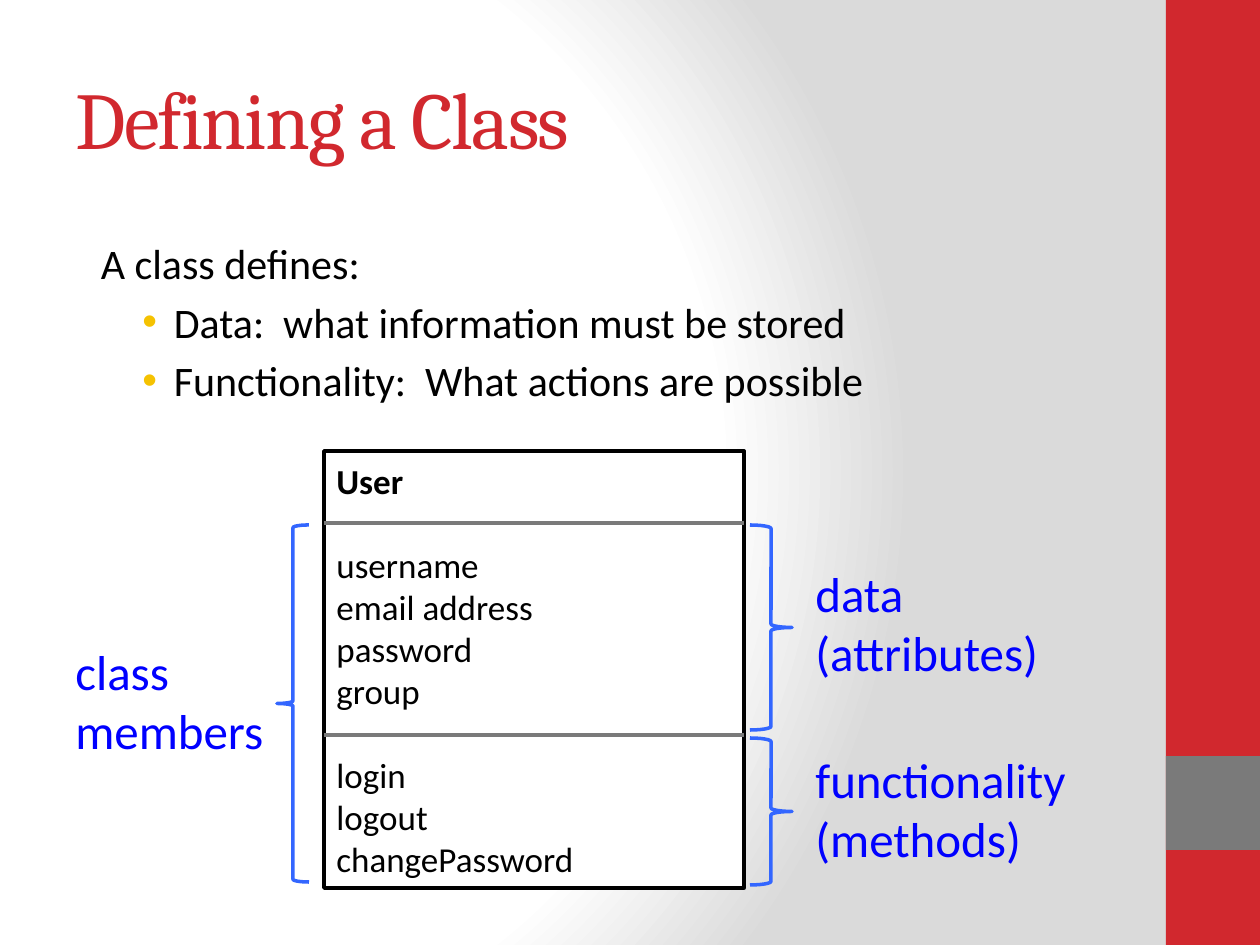
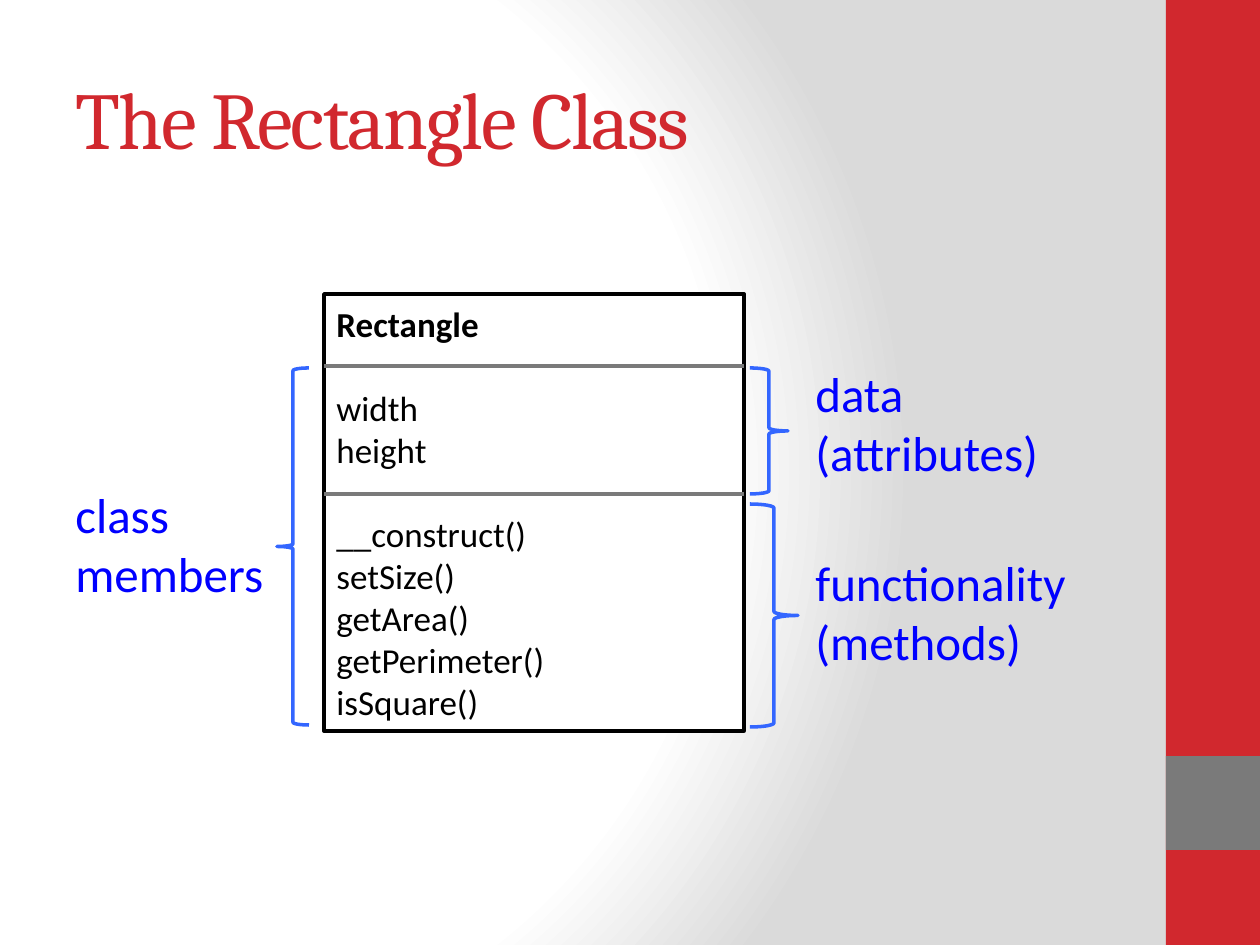
"""Builds two slides that explain the makeup of a class."""
from dataclasses import dataclass

from lxml import etree
from pptx import Presentation
from pptx import util as u
from pptx.dml.color import RGBColor
from pptx.enum import shapes, text
from pptx.oxml import parse_xml
from pptx.oxml.ns import qn

SCALE = 914400 / 126
RED = RGBColor(0xD1, 0x28, 0x2E)
GREY = RGBColor(0x7A, 0x7A, 0x7A)
GOLD = RGBColor(0xF5, 0xC2, 0x01)
BLUE = RGBColor(0x00, 0x00, 0xFF)
SKY = RGBColor(0x33, 0x66, 0xFF)
BLACK = RGBColor(0x00, 0x00, 0x00)
WHITE = RGBColor(0xFF, 0xFF, 0xFF)
SILVER = RGBColor(0xDA, 0xDA, 0xDA)
HEAD, BODY = "Cambria", "Calibri"
LEFT, WIDTH, HEIGHT = 324, 420, 437
KIND = shapes.MSO_SHAPE
FIT = text.MSO_AUTO_SIZE
NS = "http://schemas.openxmlformats.org/drawingml/2006/main"


@dataclass
class Group:
    """One group of class members with its brace and label."""
    rows: list[str]
    label: str
    wide: int
    top: int
    brace: tuple[int, int, int]


@dataclass
class Card:
    """One class box."""
    name: str
    top: int
    cut: int
    groups: list[Group]


def px(*sides: int) -> list[int]:
    """Turn pixels into EMU."""
    return [round(side * SCALE) for side in sides]


def write(frame, lines: list[str], *, size: int, color: RGBColor = BLACK,
          face: str = BODY, space: int = 0) -> None:
    """Fill a text frame with formatted, left-aligned lines."""
    frame.text = "\n".join(lines)
    for para in frame.paragraphs:
        para.alignment = text.PP_ALIGN.LEFT
        for run in para.runs:
            run.font.size = u.Pt(size)
            run.font.name = face
            run.font.color.rgb = color
            if space:
                run.font._element.set("spc", str(space))


def place(shape, *sides: int) -> None:
    """Move and size a shape."""
    shape.left, shape.top, shape.width, shape.height = px(*sides)


def draw(slide, kind, sides: tuple, fill: RGBColor | None = None,
         line: RGBColor | None = None):
    """Add a preset shape without a shadow."""
    shape = slide.shapes.add_shape(kind, *px(*sides))
    shape.shadow.inherit = False
    if fill is None:
        shape.fill.background()
    else:
        shape.fill.solid()
        shape.fill.fore_color.rgb = fill
    if line is None:
        shape.line.fill.background()
    else:
        shape.line.color.rgb = line
        shape.line.width = u.Pt(2)
    return shape


def rule(slide, top: int) -> None:
    """Draw a divider across the class box."""
    line = slide.shapes.add_connector(
        shapes.MSO_CONNECTOR.STRAIGHT, *px(LEFT, top, LEFT + WIDTH, top))
    line.line.color.rgb = GREY
    line.line.width = u.Pt(2)
    etree.SubElement(line.element.spPr, qn("a:effectLst"))


def note(slide, label: str, *sides: int) -> None:
    """Add a blue label."""
    frame = slide.shapes.add_textbox(*px(*sides)).text_frame
    frame.word_wrap = False
    frame.auto_size = FIT.SHAPE_TO_FIT_TEXT
    write(frame, [label], size=28, color=BLUE)


def title(slide, words: str) -> None:
    """Set the slide title."""
    shape = slide.shapes.title
    place(shape, 63, 38, 1050, 158)
    frame = shape.text_frame
    frame.auto_size = FIT.NONE
    frame.vertical_anchor = text.MSO_ANCHOR.MIDDLE
    write(frame, [words], size=46, color=RED, face=HEAD, space=-100)


def points(slide, lead: str, items: list[str]) -> None:
    """Fill the body with a lead line and bullets."""
    shape = slide.placeholders[1]
    place(shape, 73, 231, 1050, 630)
    frame = shape.text_frame
    frame.auto_size = FIT.NONE
    write(frame, [lead, *items], size=24)
    for rank, para in enumerate(frame.paragraphs):
        para.level = min(rank, 1)
        props = para._p.get_or_add_pPr()
        left, hang = (0.7, -0.25) if rank else (0.12, 0)
        props.set("marL", str(u.Inches(left)))
        props.set("indent", str(u.Inches(hang)))
        if rank:
            tint = etree.SubElement(props, qn("a:buClr"))
            etree.SubElement(tint, qn("a:srgbClr"), val=str(GOLD))
            etree.SubElement(props, qn("a:buFont"), typeface="Arial")
            etree.SubElement(props, qn("a:buChar"), char="•")
        else:
            etree.SubElement(props, qn("a:buNone"))


def diagram(slide, card: Card) -> None:
    """Draw a class box with its dividers, braces and labels."""
    top = card.top
    box = draw(slide, KIND.RECTANGLE, (LEFT, top, WIDTH, HEIGHT), WHITE, BLACK)
    frame = box.text_frame
    frame.vertical_anchor = text.MSO_ANCHOR.MIDDLE
    rows, starts = [card.name], []
    for group in card.groups:
        starts.append(len(rows))
        rows += group.rows
    write(frame, rows, size=20)
    frame.paragraphs[0].runs[0].font.bold = True
    for start in starts:
        frame.paragraphs[start].space_before = u.Pt(24)
    for group in card.groups:
        y, wide, high = group.brace
        draw(slide, KIND.RIGHT_BRACE, (750, y, wide, high), line=SKY)
        note(slide, group.label, 803, group.top, group.wide, 131)
    rule(slide, top + 72)
    rule(slide, card.cut)
    draw(slide, KIND.LEFT_BRACE, (277, top + 74, 32, 357), line=SKY)
    note(slide, "class\vmembers", 63, top + 184, 217, 131)


def backdrop(master) -> None:
    """Give the master its round gradient."""
    master.background.fill.solid()
    props = master.element.find(".//" + qn("p:bgPr"))
    stops = "".join(
        f'<a:gs pos="{pos}"><a:srgbClr val="{tint}"/></a:gs>'
        for pos, tint in ((0, WHITE), (75000, WHITE), (100000, SILVER)))
    props.replace(props[0], parse_xml(
        f'<a:gradFill xmlns:a="{NS}" rotWithShape="1"><a:gsLst>{stops}</a:gsLst>'
        '<a:path path="circle"><a:fillToRect l="20000" t="50000" '
        'r="100000" b="50000"/></a:path></a:gradFill>'))


def bands(slide, master) -> None:
    """Draw the side bands and hand them to the master."""
    for mark, (y, high, tint) in enumerate(((0, 945, RED), (756, 94, GREY)), 20):
        band = draw(slide, KIND.RECTANGLE, (1166, y, 94, high), tint)
        band.element.nvSpPr.cNvPr.set("id", str(mark))
        master.shapes.element.append(band.element)


DATA, WORK = "data\v(attributes)", "functionality\v(methods)"
USER = Card("User", 451, 735, [
    Group(["username", "email address", "password", "group"],
          DATA, 252, 557, (525, 42, 205)),
    Group(["login", "logout", "changePassword"],
          WORK, 280, 743, (738, 42, 147)),
])
SHAPE = Card("Rectangle", 294, 494, [
    Group(["width", "height"], DATA, 252, 357, (368, 38, 126)),
    Group(["__construct()", "setSize()", "getArea()", "getPerimeter()",
           "isSquare()"], WORK, 280, 546, (504, 48, 223)),
])


def main() -> None:
    """Build and save the deck."""
    deck = Presentation()
    deck.slide_width, deck.slide_height = px(1260, 945)
    master = deck.slide_master
    backdrop(master)

    first = deck.slides.add_slide(deck.slide_layouts[1])
    bands(first, master)
    title(first, "Defining a Class")
    points(first, "A class defines:", [
        "Data:  what information must be stored",
        "Functionality:  What actions are possible"])
    diagram(first, USER)

    second = deck.slides.add_slide(deck.slide_layouts[5])
    title(second, "The Rectangle Class")
    diagram(second, SHAPE)
    deck.save("out.pptx")


main()
